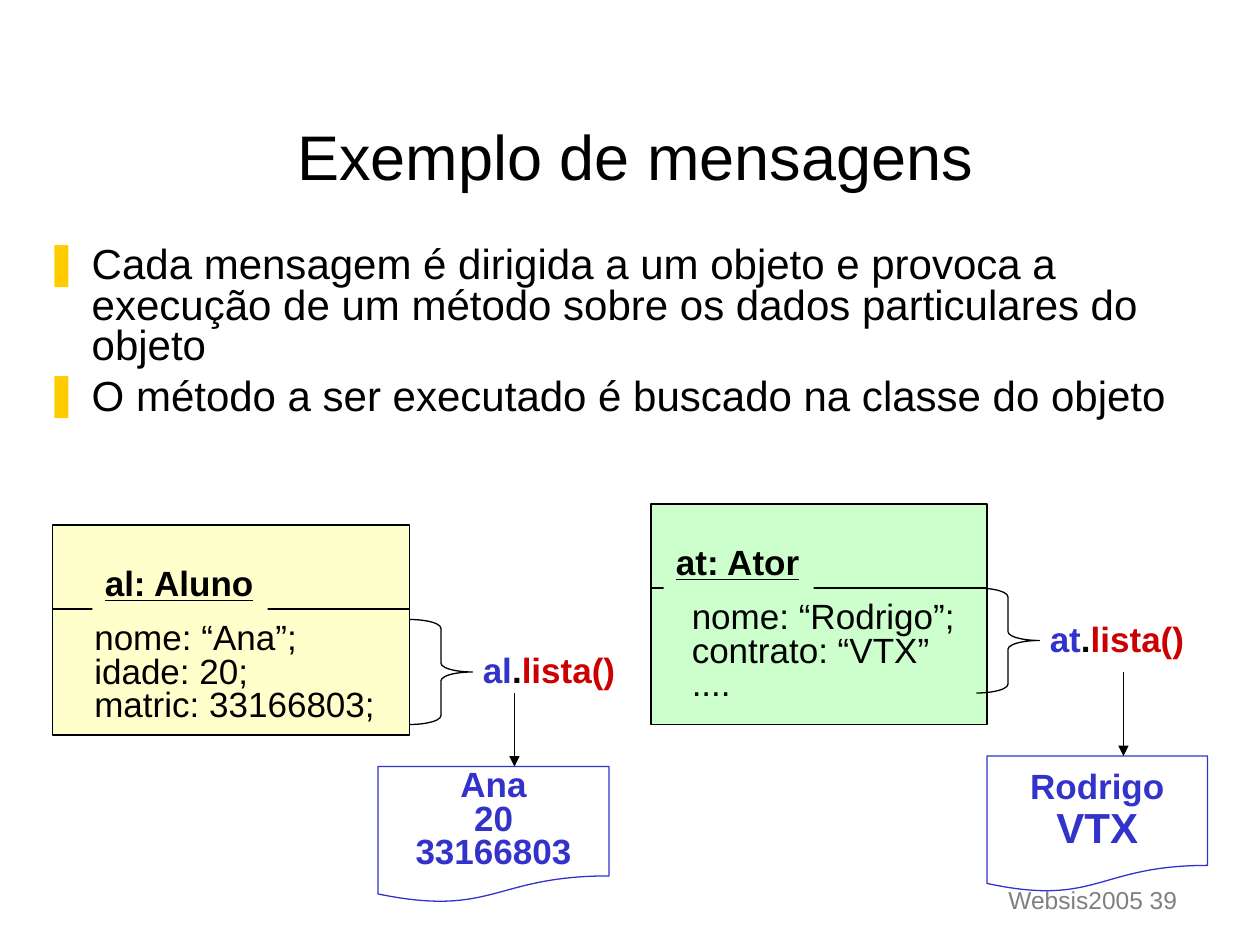
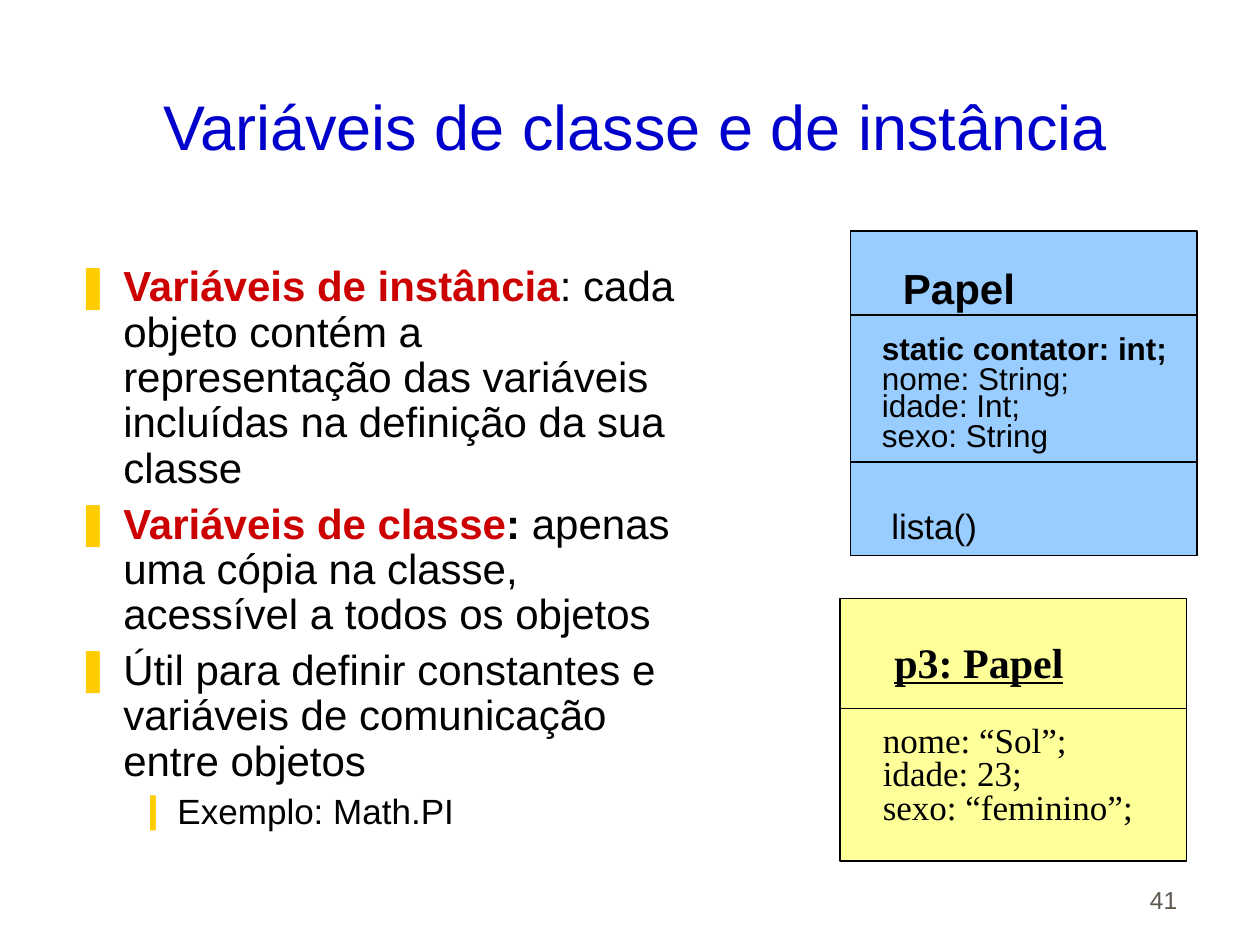
"""Build two slides on object messages and on class and instance variables."""
from lxml import etree
from pptx import Presentation
from pptx.dml.color import RGBColor
from pptx.enum.shapes import MSO_CONNECTOR, MSO_SHAPE
from pptx.enum.text import MSO_ANCHOR, PP_ALIGN
from pptx.oxml.ns import qn
from pptx.util import Inches, Pt

RECTANGLE = MSO_SHAPE.RECTANGLE
DOCUMENT = MSO_SHAPE.FLOWCHART_DOCUMENT
BRACE = MSO_SHAPE.RIGHT_BRACE
STRAIGHT = MSO_CONNECTOR.STRAIGHT
LEFT, CENTER, RIGHT = PP_ALIGN.LEFT, PP_ALIGN.CENTER, PP_ALIGN.RIGHT
TOP, MIDDLE, BOTTOM = MSO_ANCHOR.TOP, MSO_ANCHOR.MIDDLE, MSO_ANCHOR.BOTTOM

COLOURS = {
    "black": "000000", "white": "FFFFFF", "grey": "808080", "brown": "5E574E",
    "gold": "FFCC00", "red": "CC0000", "blue": "3333CC", "title blue": "0000CC",
    "cream": "FFFFCC", "mint": "CCFFCC", "yellow": "FFFF99", "sky": "99CCFF",
}
COLUMNS, ROWS, CELL = 120, 90, 1 / 12
TITLE_AREA = (2, 6, 117, 13)
FOOTER_AREA = (88.3, 81.7, 25, 6)
BULLETS = [("❚", 0.38, 0.38, 6), ("❙", 0.81, 0.31, 5)]
KEY = {"colour": "red", "bold": True}
HEADING = {"bold": True, "underline": True}

SLIDES = [
    {
        "title": ("Exemplo de mensagens", "black", BOTTOM, 1),
        "footer": ("Websis2005 39", "grey"),
        "body": (3, 23, 113, 19),
        "spacing": 0.8,
        "bullets": [
            (0, "Cada mensagem é dirigida a um objeto e provoca a execução de um "
                "método sobre os dados particulares do objeto"),
            (0, "O método a ser executado é buscado na classe do objeto"),
        ],
        "cards": [
            {"left": 5, "width": 34, "rows": [50, 58, 70], "fill": "cream", "labels": [
                ((8.8, 52.9, 16.7, 5.3), ["al: Aluno"], {**HEADING, "spacing": 1}),
                ((7.8, 58.8, 29.2, 10.8),
                 ["nome: “Ana”;", "idade: 20;", "matric: 33166803;"], {}),
            ]},
            {"left": 62, "width": 32, "rows": [48, 56, 69], "fill": "mint", "labels": [
                ((63.2, 50.9, 14.3, 5.3), ["at: Ator"], {**HEADING, "spacing": 1}),
                ((64.7, 56.8, 27.5, 10.8),
                 ["nome: “Rodrigo”;", "contrato: “VTX”", "...."], {}),
            ]},
        ],
        "calls": [
            {"name": "al", "brace": (39, 59), "label": (44.8, 61.2, 17, 5.3),
             "arrow": (49, 66), "result": (36, 73, 22, 13), "spacing": 0.8,
             "lines": ["Ana", "20", "33166803"]},
            {"name": "at", "brace": (93, 56), "label": (98.8, 58.2, 17, 5.3),
             "arrow": (107, 64), "result": (94, 72, 21, 13), "spacing": 0.9,
             "lines": ["Rodrigo", [("VTX", {"size": 24})]]},
        ],
    },
    {
        "title": ("Variáveis de classe e de instância", "title blue", MIDDLE, 0.85),
        "footer": ("41", "brown"),
        "body": (6, 24.7, 60.6, 55.2),
        "spacing": 0.9,
        "bullets": [
            (0, [("Variáveis de instância", KEY),
                 (": cada objeto contém a representação das variáveis incluídas na "
                  "definição da sua classe", {})]),
            (0, [("Variáveis de classe", KEY), (": ", {"bold": True}),
                 ("apenas uma cópia na classe, acessível a todos os objetos", {})]),
            (0, "Útil para definir constantes e variáveis de comunicação entre objetos"),
            (1, [("Exemplo: Math.PI", {"size": 20})]),
        ],
        "cards": [
            {"left": 80, "width": 33, "rows": [57, 67.5, 82], "fill": "yellow", "labels": [
                ((84, 60, 18.5, 6), ["p3: Papel"],
                 {**HEADING, "size": 24, "font": "Times New Roman", "spacing": 1}),
                ((82.9, 68.6, 26.2, 10.8),
                 ["nome: “Sol”;", "idade: 23;", "sexo: “feminino”;"],
                 {"font": "Times New Roman"}),
            ]},
            {"left": 81, "width": 33, "rows": [22, 30, 44, 52.9], "fill": "sky", "labels": [
                ((86, 25, 10.7, 4.8), ["Papel"],
                 {"size": 24, "bold": True, "spacing": 1, "margins": (0, 0)}),
                ((84, 32, 27.1, 11.2),
                 [[("static contator: int;", {"bold": True})],
                  "nome: String;", "idade: Int;", "sexo: String"],
                 {"size": 18, "spacing": [0.8, 0.8, 0.7, 0.8], "margins": (0, 0)}),
                ((84.9, 48, 12, 4), ["lista()"], {"spacing": 1, "margins": (0, 0)}),
            ]},
        ],
        "calls": [],
    },
]


def colour(name):
    return RGBColor.from_string(COLOURS[name])


def cells(*lengths):
    return [Inches(length * CELL) for length in lengths]


def add_box(page, area, kind=RECTANGLE, fill=None, line=None):
    box = page.shapes.add_shape(kind, *cells(*area))
    box.shadow.inherit = False
    if fill:
        box.fill.solid()
        box.fill.fore_color.rgb = colour(fill)
    else:
        box.fill.background()
    if line:
        box.line.color.rgb = colour(line)
        box.line.width = Pt(0.75)
    else:
        box.line.fill.background()
    return box


def write(box, paragraphs, spacing=1, align=LEFT, anchor=TOP, wrap=False,
          margins=(0.1, 0.05), **style):
    frame = box.text_frame
    frame.word_wrap = wrap
    frame.vertical_anchor = anchor
    frame.margin_left = frame.margin_right = Inches(margins[0])
    frame.margin_top = frame.margin_bottom = Inches(margins[1])
    for index, spans in enumerate(paragraphs):
        para = frame.add_paragraph() if index else frame.paragraphs[0]
        para.alignment = align
        para.line_spacing = spacing[index] if isinstance(spacing, list) else spacing
        for text, changes in [(spans, {})] if isinstance(spans, str) else spans:
            look = {"size": 20, "font": "Arial", "colour": "black", "bold": False,
                    "underline": False, **style, **changes}
            span = para.add_run()
            span.text = text
            span.font.size = Pt(look["size"])
            span.font.name = look["font"]
            span.font.color.rgb = colour(look["colour"])
            span.font.bold = look["bold"]
            span.font.underline = look["underline"]


def add_text(page, area, paragraphs, **options):
    box = page.shapes.add_textbox(*cells(*area))
    write(box, paragraphs, **options)
    return box


def add_bullets(page, area, items, spacing):
    box = add_text(page, area, [spans for _, spans in items],
                   spacing=spacing, wrap=True, size=24)
    for index, (para, (level, _)) in enumerate(zip(box.text_frame.paragraphs, items)):
        symbol, margin, hanging, space = BULLETS[level]
        properties = para._p.get_or_add_pPr()
        properties.set("marL", str(Inches(margin)))
        properties.set("indent", str(-Inches(hanging)))
        tint = etree.SubElement(properties, qn("a:buClr"))
        etree.SubElement(tint, qn("a:srgbClr"), val=COLOURS["gold"])
        etree.SubElement(properties, qn("a:buFont"), typeface="Arial")
        etree.SubElement(properties, qn("a:buChar"), char=symbol)
        para.level = level
        if index:
            para.space_before = Pt(space)


def add_card(page, left, width, rows, fill, labels):
    for top, bottom in zip(rows, rows[1:]):
        add_box(page, (left, top, width, bottom - top), fill=fill, line="black")
    for area, paragraphs, style in labels:
        write(add_box(page, area, fill=fill), paragraphs, **{"spacing": 0.8, **style})


def add_arrow(page, column, top, bottom):
    arrow = page.shapes.add_connector(STRAIGHT, *cells(column, top, column, bottom))
    arrow.line.color.rgb = colour("black")
    arrow.line.width = Pt(0.75)
    etree.SubElement(arrow.line._get_or_add_ln(), qn("a:tailEnd"), type="triangle")
    etree.SubElement(arrow._element.spPr, qn("a:effectLst"))


def add_call(page, name, brace, label, arrow, result, spacing, lines):
    document = add_box(page, result, DOCUMENT, "white", "blue")
    write(document, lines, spacing=spacing, align=CENTER, anchor=MIDDLE,
          colour="blue", bold=True)
    add_text(page, label, [[(name, {"colour": "blue"}), (".", {}),
                            ("lista()", {"colour": "red"})]], bold=True)
    add_arrow(page, *arrow, result[1])
    bracket = add_box(page, (*brace, 6, 10), BRACE, line="black")
    bracket.adjustments[0] = 0.14


def build_slide(deck, content):
    page = deck.slides.add_slide(deck.slide_layouts[6])
    title, title_colour, anchor, spacing = content["title"]
    add_text(page, TITLE_AREA, [title], spacing=spacing, align=CENTER, anchor=anchor,
             wrap=True, size=36, colour=title_colour)
    add_bullets(page, content["body"], content["bullets"], content["spacing"])
    for card in content["cards"]:
        add_card(page, **card)
    for call in content["calls"]:
        add_call(page, **call)
    footer, footer_colour = content["footer"]
    add_text(page, FOOTER_AREA, [footer], align=RIGHT, anchor=BOTTOM, wrap=True,
             size=14, colour=footer_colour)


def main():
    deck = Presentation()
    deck.slide_width, deck.slide_height = cells(COLUMNS, ROWS)
    for content in SLIDES:
        build_slide(deck, content)
    deck.save("out.pptx")


if __name__ == "__main__":
    main()
